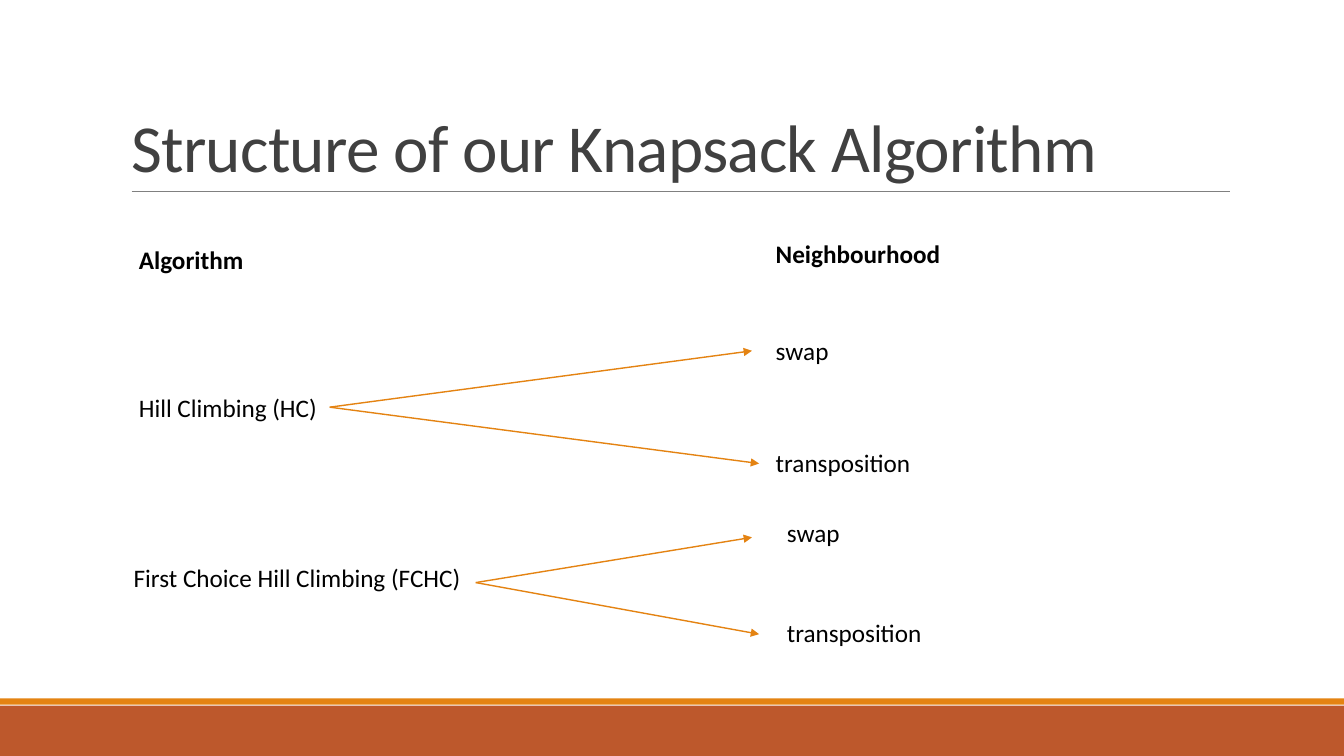
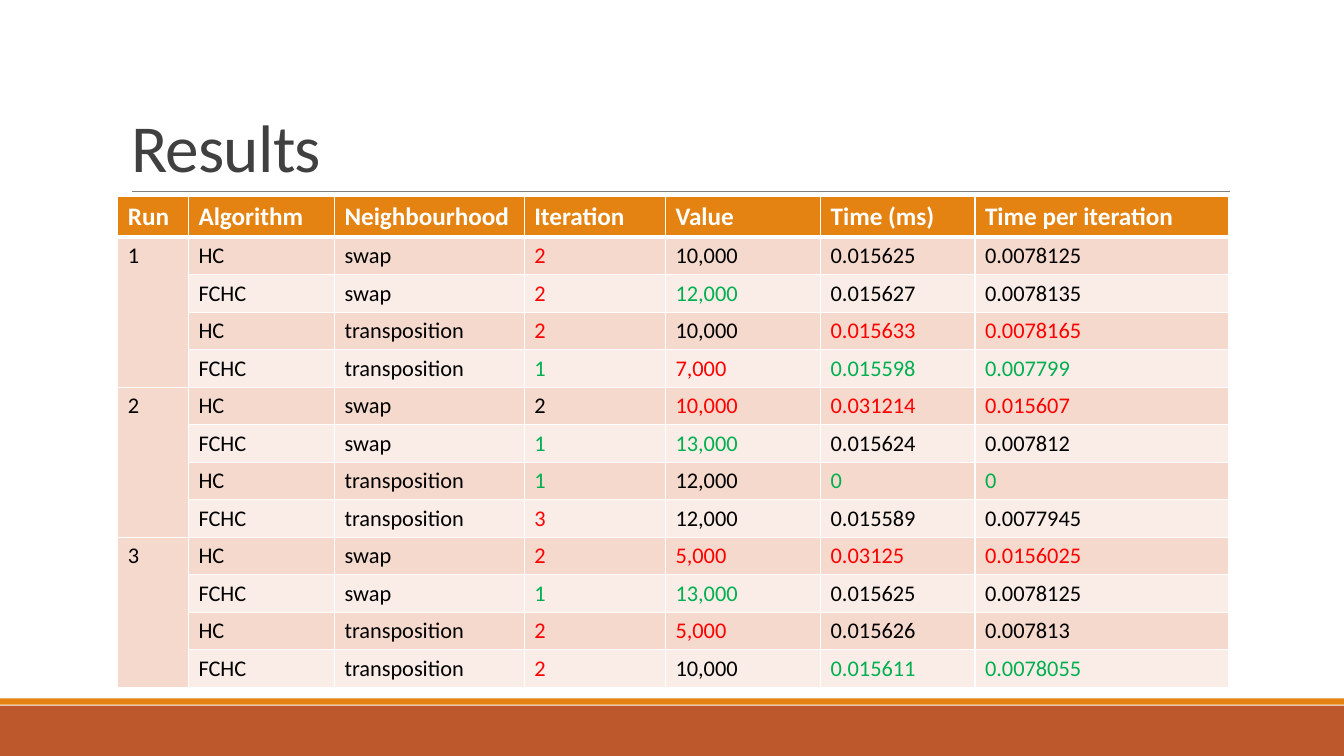
from lxml import etree
from pptx import Presentation
from pptx.dml.color import RGBColor
from pptx.enum.shapes import MSO_CONNECTOR as CONN, MSO_SHAPE as SHAPE
from pptx.enum.text import MSO_ANCHOR as ANCHOR, MSO_AUTO_SIZE as AUTO, PP_ALIGN as ALIGN
from pptx.oxml.ns import qn
from pptx.util import Cm, Pt

# Shared look
FONT = "Calibri"
ORANGE, RUST, GREY, DARK = "E48312", "BD582C", "808080", "404040"
BLACK, WHITE, RED, GREEN = "000000", "FFFFFF", "FF0000", "00B050"
BANDING = ("F5D9CC", "FAEDE7")
WIDTH, HEIGHT = 33.87, 19.05
BANDS = [(17.78, 1.27, RUST), (17.6, 0.16, ORANGE)]  # top, height, colour

# Algorithm diagram, in cm: text, left, top, width, bold
LABELS = [
    ("Algorithm", 3.25, 6.02, 6.2, True),
    ("Neighbourhood", 19.3, 5.87, 6.2, True),
    ("Hill Climbing (HC)", 3.25, 9.75, 5.6, False),
    ("First Choice Hill Climbing (FCHC)", 3.12, 14.05, 9.2, False),
    ("swap", 19.3, 8.33, 9.96, False),
    ("transposition", 19.3, 11.15, 9.96, False),
    ("swap", 19.58, 12.9, 9.96, False),
    ("transposition", 19.58, 15.44, 9.96, False),
]
# Start of each fork, then the heights of its swap and transposition ends
FORKS = [((8.31, 10.26), (8.84, 11.68)), ((11.99, 14.68), (13.54, 15.98))]
FORK_ENDS_X = (18.95, 19.13)

# Results: "+" after a figure marks it green, "-" marks it red
HEADERS = ["Run", "Algorithm", "Neighbourhood", "Iteration", "Value",
           "Time (ms)", "Time per iteration"]
COL_WIDTHS = [1.78, 3.68, 4.78, 3.56, 3.91, 3.89, 6.4]
ROW_HEIGHT = 0.94
MARKS = {"+": GREEN, "-": RED}
VARIANTS = [("HC", "swap"), ("FCHC", "swap"),
            ("HC", "transposition"), ("FCHC", "transposition")]
RUNS = [
    [("2-", "10,000", "0.015625", "0.0078125"),
     ("2-", "12,000+", "0.015627", "0.0078135"),
     ("2-", "10,000", "0.015633-", "0.0078165-"),
     ("1+", "7,000-", "0.015598+", "0.007799+")],
    [("2", "10,000-", "0.031214-", "0.015607-"),
     ("1+", "13,000+", "0.015624", "0.007812"),
     ("1+", "12,000", "0+", "0+"),
     ("3-", "12,000", "0.015589", "0.0077945")],
    [("2-", "5,000-", "0.03125-", "0.0156025-"),
     ("1+", "13,000+", "0.015625", "0.0078125"),
     ("2-", "5,000-", "0.015626", "0.007813"),
     ("2-", "10,000", "0.015611+", "0.0078055+")],
]


def rgb(value):
    return RGBColor.from_string(value)


def style_text(tf, size, color, bold=False):
    for p in tf.paragraphs:
        for r in p.runs:
            r.font.name, r.font.size, r.font.bold = FONT, Pt(size), bold
            r.font.color.rgb = rgb(color)


def add_line(slide, start, end, color, width, arrow=False):
    s = slide.shapes.add_connector(CONN.STRAIGHT, *map(Cm, (*start, *end)))
    s.line.color.rgb, s.line.width = rgb(color), Pt(width)
    if arrow:
        etree.SubElement(s.line._get_or_add_ln(), qn("a:tailEnd"), type="triangle")
    etree.SubElement(s._element.spPr, qn("a:effectLst"))


def add_slide(prs, title):
    slide = prs.slides.add_slide(prs.slide_layouts[5])
    # Footer bands and title rule
    for top, height, color in BANDS:
        s = slide.shapes.add_shape(SHAPE.RECTANGLE, 0, Cm(top), prs.slide_width, Cm(height))
        s.shadow.inherit = False
        s.fill.solid()
        s.fill.fore_color.rgb = rgb(color)
        s.line.fill.background()
    add_line(slide, (3.32, 4.82), (31, 4.82), GREY, 0.5)
    # Title
    sp = slide.shapes.title
    sp.left, sp.top, sp.width, sp.height = map(Cm, (3.05, 0.79, 27.94, 4.04))
    tf = sp.text_frame
    tf.text = title
    tf.auto_size, tf.vertical_anchor = AUTO.NONE, ANCHOR.BOTTOM
    p = tf.paragraphs[0]
    p.alignment, p.line_spacing = ALIGN.LEFT, 0.85
    style_text(tf, 48, DARK)
    p.runs[0]._r.get_or_add_rPr().set("spc", "-50")
    return slide


def add_label(slide, text, left, top, width, bold):
    s = slide.shapes.add_textbox(Cm(left), Cm(top), Cm(width), Cm(1.03))
    s.text_frame.word_wrap = True
    s.text_frame.text = text
    style_text(s.text_frame, 18, BLACK, bold)


def set_borders(cell, **widths):
    tcPr = cell._tc.get_or_add_tcPr()
    for side in "LRTB":
        ln = etree.SubElement(tcPr, qn(f"a:ln{side}"), w=str(Pt(widths.get(side, 1))))
        fill = etree.SubElement(ln, qn("a:solidFill"))
        etree.SubElement(fill, qn("a:srgbClr"), val=WHITE)


def format_cell(cell, text, size, color, fill, bold=False, **borders):
    cell.text = text
    style_text(cell.text_frame, size, color, bold)
    set_borders(cell, **borders)
    cell.fill.solid()
    cell.fill.fore_color.rgb = rgb(fill)


def add_results_table(slide):
    rows = [(str(n) if i == 0 else "", *VARIANTS[i], *figures)
            for n, run in enumerate(RUNS, 1) for i, figures in enumerate(run)]
    count = len(rows) + 1
    table = slide.shapes.add_table(count, len(HEADERS), Cm(2.97), Cm(4.95),
                                   Cm(sum(COL_WIDTHS)), Cm(count * ROW_HEIGHT)).table
    for column, width in zip(table.columns, COL_WIDTHS):
        column.width = Cm(width)
    for row in table.rows:
        row.height = Cm(ROW_HEIGHT)
    for c, text in enumerate(HEADERS):
        format_cell(table.cell(0, c), text, 18, WHITE, ORANGE, True, B=3)
    for r, row in enumerate(rows, 1):
        for c, text in enumerate(row):
            fill = BANDING[(r - 1) % 2] if c else BANDING[0]
            format_cell(table.cell(r, c), text.rstrip("+-"), 16,
                        MARKS.get(text[-1:], BLACK), fill, T=3 if r == 1 else 1)
    # One run number spans all variants of the run
    step = len(VARIANTS)
    for top in range(1, count, step):
        table.cell(top, 0).merge(table.cell(top + step - 1, 0))


def main():
    prs = Presentation()
    prs.slide_width, prs.slide_height = Cm(WIDTH), Cm(HEIGHT)

    slide = add_slide(prs, "Structure of our Knapsack Algorithm")
    for start, heights in FORKS:
        for end in zip(FORK_ENDS_X, heights):
            add_line(slide, start, end, ORANGE, 1, arrow=True)
    for label in LABELS:
        add_label(slide, *label)

    add_results_table(add_slide(prs, "Results"))
    prs.save("out.pptx")


if __name__ == "__main__":
    main()
